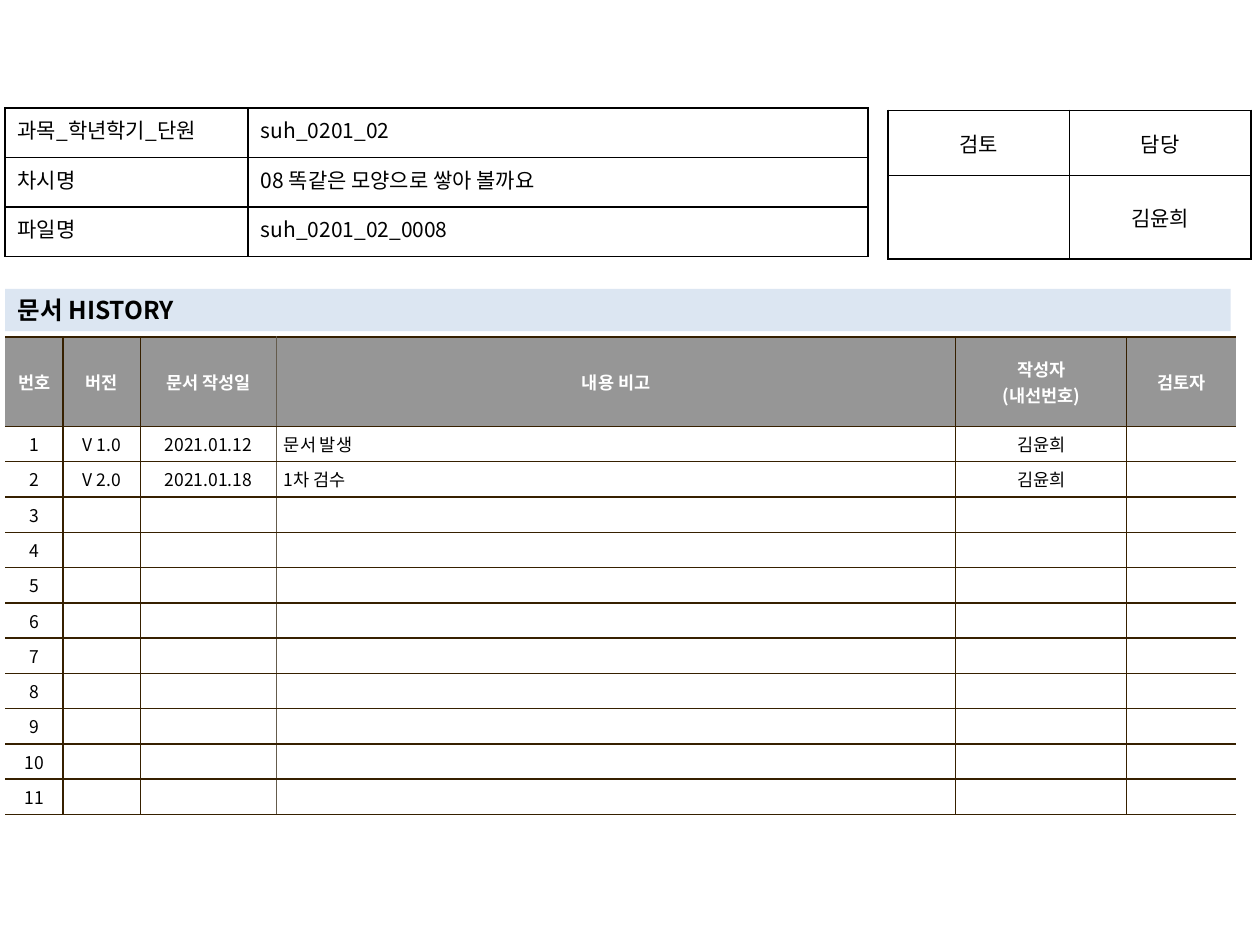
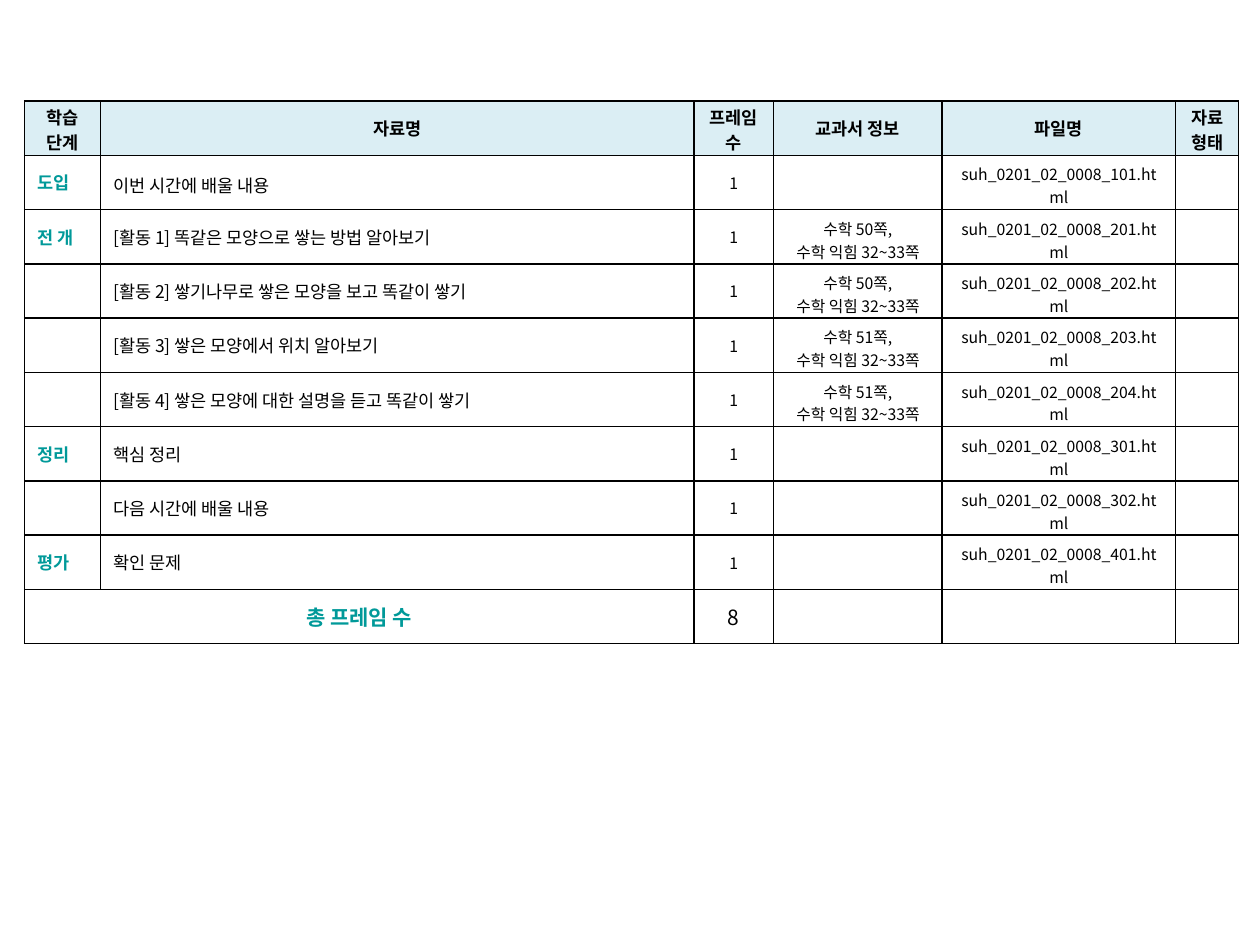
from lxml import etree
from pptx import Presentation
from pptx.dml.color import RGBColor
from pptx.enum.text import MSO_ANCHOR, MSO_AUTO_SIZE, PP_ALIGN
from pptx.oxml.ns import qn
from pptx.util import Pt

LEFT, CENTER, JUSTIFY = PP_ALIGN.LEFT, PP_ALIGN.CENTER, PP_ALIGN.JUSTIFY
TOP, MIDDLE = MSO_ANCHOR.TOP, MSO_ANCHOR.MIDDLE
NO_AUTOFIT = MSO_AUTO_SIZE.NONE

FONT = "Noto Sans CJK KR"
BLACK = RGBColor(0x00, 0x00, 0x00)
WHITE = RGBColor(0xFF, 0xFF, 0xFF)
BROWN = RGBColor(0x36, 0x20, 0x00)
TAUPE = RGBColor(0x64, 0x5B, 0x4C)
GRAY = RGBColor(0x96, 0x96, 0x96)
TEAL = RGBColor(0x00, 0x99, 0x99)
PALE_BLUE = RGBColor(0xDC, 0xE6, 0xF2)
PALE_CYAN = RGBColor(0xDB, 0xEE, 0xF4)

WIDE_INSETS = (7.2, 3.6, 7.2, 3.6)
HISTORY_INSETS = (4.32, 2.88, 4.32, 2.88)
TWO_LINE_HEADER_INSETS = (7.2, 1.5, 7.2, 0)
TWO_LINE_INSETS = (7.2, 3.6, 7.2, 0)

HISTORY_HEADER = ["번호", "버전", "문서 작성일", "내용 비고", "작성자\n(내선번호)", "검토자"]
HISTORY_ENTRIES = [
    ["V 1.0", "2021.01.12", "문서 발생", "김윤희", ""],
    ["V 2.0", "2021.01.18", "1차 검수", "김윤희", ""],
]
HISTORY_ROWS = 11

FRAME_HEADER = ["학습 단계", "자료명", "프레임 수", "교과서 정보", "파일명", "자료\n형태"]
LESSON_FRAMES = [
    ("도입", "이번 시간에 배울 내용", None, 101),
    ("전 개", "[활동 1] 똑같은 모양으로 쌓는 방법 알아보기", 50, 201),
    ("", "[활동 2] 쌓기나무로 쌓은 모양을 보고 똑같이 쌓기", 50, 202),
    ("", "[활동 3] 쌓은 모양에서 위치 알아보기", 51, 203),
    ("", "[활동 4] 쌓은 모양에 대한 설명을 듣고 똑같이 쌓기", 51, 204),
    ("정리", "핵심 정리", None, 301),
    ("", "다음 시간에 배울 내용", None, 302),
    ("평가", "확인 문제", None, 401),
]


def write(frame, text, size=10, color=BLACK, bold=False, align=LEFT, spacing=None):
    frame.word_wrap = True
    for index, line in enumerate(text.split("\n")):
        paragraph = frame.paragraphs[0] if index == 0 else frame.add_paragraph()
        paragraph.alignment = align
        if spacing:
            paragraph.line_spacing = spacing
        if not line:
            etree.SubElement(paragraph._p, qn("a:endParaRPr"), sz=str(size * 100))
            continue
        run = paragraph.add_run()
        run.text = line
        run.font.size = Pt(size)
        run.font.bold = bold
        run.font.color.rgb = color
        run.font.name = FONT
        etree.SubElement(run.font._element, qn("a:ea"), typeface=FONT)


def draw_borders(cell, colors):
    properties = cell._tc.get_or_add_tcPr()
    for side, color in zip("LRTB", colors):
        line = etree.SubElement(properties, qn(f"a:ln{side}"), w=str(Pt(1)))
        if color is None:
            etree.SubElement(line, qn("a:noFill"))
        else:
            solid = etree.SubElement(line, qn("a:solidFill"))
            etree.SubElement(solid, qn("a:srgbClr"), val=str(color))


def fill_cell(cell, text, borders=(BLACK,) * 4, fill=None, insets=WIDE_INSETS,
              anchor=MIDDLE, **text_format):
    draw_borders(cell, borders)
    if fill is None:
        cell.fill.background()
    else:
        cell.fill.solid()
        cell.fill.fore_color.rgb = fill
    cell.margin_left, cell.margin_top, cell.margin_right, cell.margin_bottom = map(Pt, insets)
    cell.vertical_anchor = anchor
    write(cell.text_frame, text, **text_format)


def place_table(slide, left, top, widths, heights):
    frame = slide.shapes.add_table(len(heights), len(widths), Pt(left), Pt(top),
                                   Pt(sum(widths)), Pt(sum(heights)))
    table = frame.table
    table.first_row = table.horz_banding = False
    for column, width in zip(table.columns, widths):
        column.width = Pt(width)
    for row, height in zip(table.rows, heights):
        row.height = Pt(height)
    return table


def add_lesson_info(slide, left, top, width, height):
    facts = [
        ("과목_학년학기_단원", "suh_0201_02"),
        ("차시명", "08 똑같은 모양으로 쌓아 볼까요"),
        ("파일명", "suh_0201_02_0008"),
    ]
    label_width = 138.9
    table = place_table(slide, left, top, [label_width, width - label_width],
                        [height / len(facts)] * len(facts))
    for row, (label, value) in enumerate(facts):
        fill_cell(table.cell(row, 0), label, anchor=TOP, size=12, align=JUSTIFY)
        fill_cell(table.cell(row, 1), value, anchor=TOP, size=12)


def add_approval(slide, left, top, width, height):
    label_height = 37.2
    table = place_table(slide, left, top, [width / 2] * 2,
                        [label_height, height - label_height])
    for row, texts in enumerate([("검토", "담당"), ("", "김윤희")]):
        for column, text in enumerate(texts):
            fill_cell(table.cell(row, column), text, size=12, align=CENTER)


def add_history_title(slide, left, top, width, height):
    title = slide.shapes.title
    title.left, title.top, title.width, title.height = map(Pt, (left, top, width, height))
    title.fill.solid()
    title.fill.fore_color.rgb = PALE_BLUE
    frame = title.text_frame
    frame.auto_size = NO_AUTOFIT
    frame.vertical_anchor = MIDDLE
    write(frame, "문서 HISTORY", size=14, bold=True)


def add_history(slide, left, top):
    widths = [33.2, 44.2, 77.7, 388.1, 97.7, 62.4]
    table = place_table(slide, left, top, widths, [51] + [20.1] * HISTORY_ROWS)
    dividers = [None, BROWN, BROWN, TAUPE, BROWN, BROWN, None]
    note_column = 3
    rows = [HISTORY_HEADER]
    for number in range(1, HISTORY_ROWS + 1):
        entry = HISTORY_ENTRIES[number - 1] if number <= len(HISTORY_ENTRIES) else [""] * 5
        rows.append([str(number)] + entry)
    for row, texts in enumerate(rows):
        header = row == 0
        for column, text in enumerate(texts):
            fill_cell(table.cell(row, column), text,
                      borders=(dividers[column], dividers[column + 1], BROWN, BROWN),
                      fill=GRAY if header else WHITE, insets=HISTORY_INSETS,
                      color=WHITE if header else BLACK, bold=header,
                      align=LEFT if column == note_column and not header else CENTER)


def add_frame_list(slide, left, top, height):
    widths = [43.5, 339, 45.5, 96.3, 133.4, 36]
    row_count = len(LESSON_FRAMES) + 2
    table = place_table(slide, left, top, widths, [height / row_count] * row_count)
    for column, heading in enumerate(FRAME_HEADER):
        two_lines = column in (0, 2, 5)
        fill_cell(table.cell(0, column), heading, fill=PALE_CYAN, bold=True, align=CENTER,
                  insets=TWO_LINE_HEADER_INSETS if two_lines else WIDE_INSETS)

    for row, (stage, material, page, file_number) in enumerate(LESSON_FRAMES, start=1):
        textbook = f"수학 {page}쪽,\n수학 익힘 32~33쪽" if page else ""
        fill_cell(table.cell(row, 0), stage, color=TEAL, bold=True, align=JUSTIFY)
        fill_cell(table.cell(row, 1), material, spacing=1.2 if row == 1 else None)
        fill_cell(table.cell(row, 2), "1", size=9, align=CENTER)
        details = [textbook, f"suh_0201_02_0008_{file_number}.html", ""]
        for column, text in enumerate(details, start=3):
            fill_cell(table.cell(row, column), text, size=9, align=CENTER,
                      insets=TWO_LINE_INSETS)

    total_row = row_count - 1
    table.cell(total_row, 0).merge(table.cell(total_row, 1))
    draw_borders(table.cell(total_row, 1), (BLACK,) * 4)
    fill_cell(table.cell(total_row, 0), "총 프레임 수", size=12, color=TEAL, bold=True,
              align=CENTER)
    for column, text in enumerate(["8", "", "", ""], start=2):
        fill_cell(table.cell(total_row, column), text, size=12, align=CENTER)


def build_history_slide(deck):
    slide = deck.slides.add_slide(deck.slide_layouts[5])
    add_history(slide, 2.9, 192.7)
    add_approval(slide, 507.5, 63.1, 207.4, 85)
    add_history_title(slide, 2.9, 165.1, 700.3, 24.2)
    add_lesson_info(slide, 2.9, 61.7, 493.2, 85)


def build_frame_slide(deck):
    slide = deck.slides.add_slide(deck.slide_layouts[6])
    add_frame_list(slide, 14.1, 57.7, 310.3)


def main():
    deck = Presentation()
    deck.slide_width, deck.slide_height = Pt(720), Pt(540)
    build_history_slide(deck)
    build_frame_slide(deck)
    deck.save("out.pptx")


if __name__ == "__main__":
    main()
